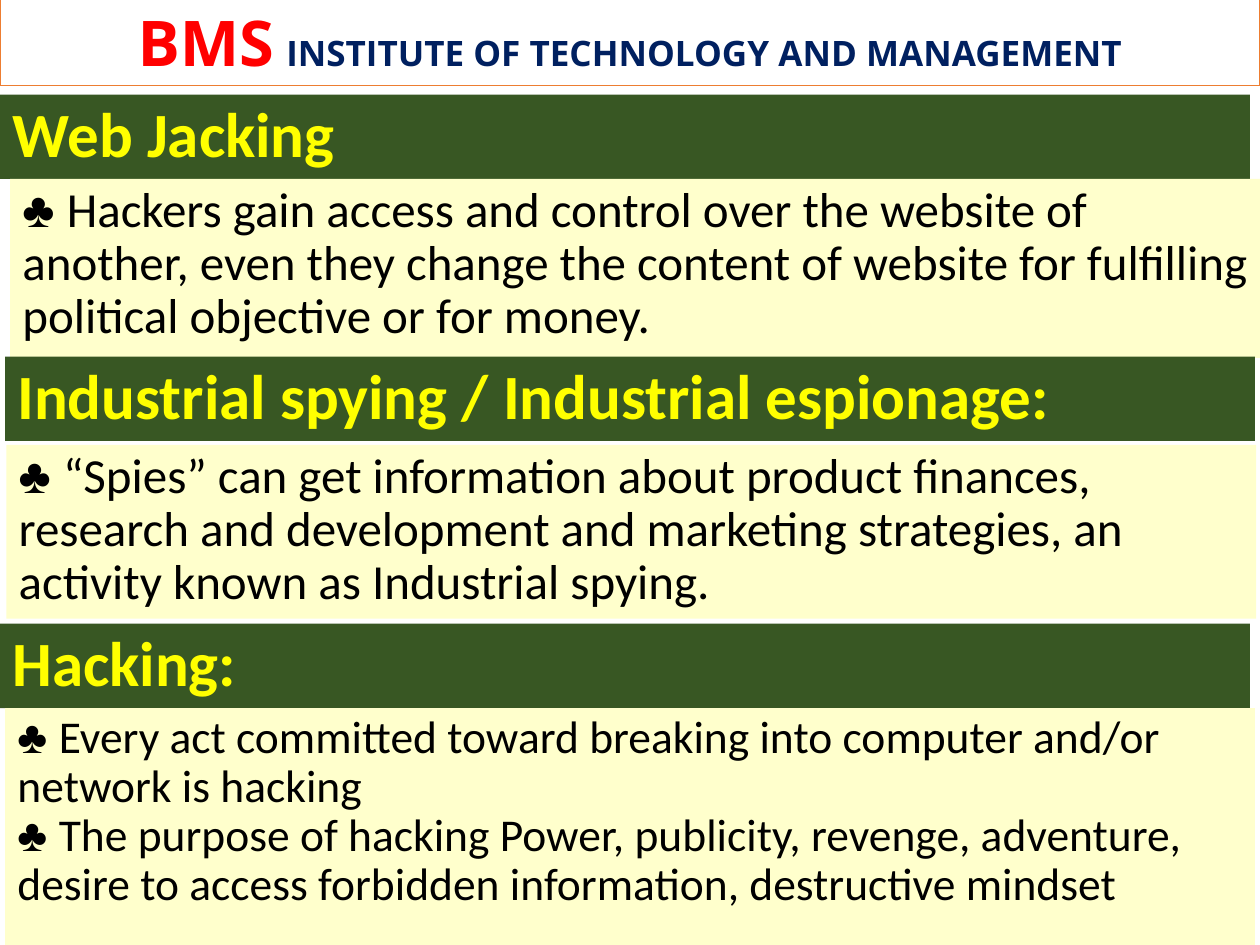
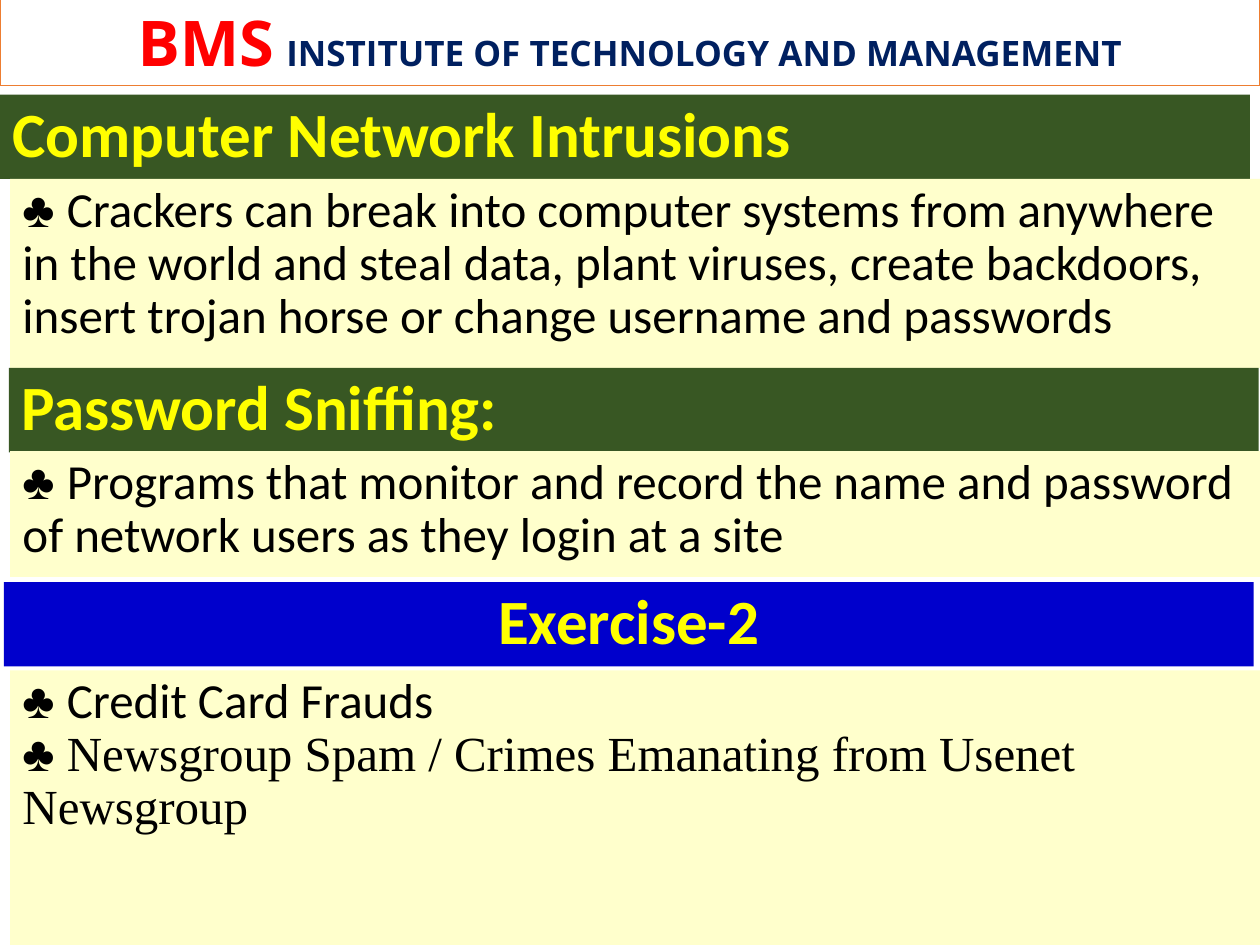
from lxml import etree
from pptx import Presentation
from pptx.dml.color import RGBColor
from pptx.enum.shapes import MSO_SHAPE
from pptx.enum.text import MSO_ANCHOR, MSO_AUTO_SIZE, PP_ALIGN
from pptx.oxml.ns import qn
from pptx.util import Pt

RECT = MSO_SHAPE.RECTANGLE
TOP, MIDDLE = MSO_ANCHOR.TOP, MSO_ANCHOR.MIDDLE
LEFT, CENTER = PP_ALIGN.LEFT, PP_ALIGN.CENTER
NO_FIT = MSO_AUTO_SIZE.NONE

EMU_PER_PX = 9144  # 100 px to the inch
SLIDE_W, SLIDE_H = 1000, 750
PANEL_W, BAND_H = 992, 67

WHITE, BLACK, YELLOW, RED = "FFFFFF", "000000", "FFFF00", "FF0000"
GREEN, BLUE, CREAM = "385723", "0000CC", "FFFFCC"
NAVY, ORANGE, OUTLINE = "002060", "ED7D31", "5093CF"
SANS, SERIF, HEADER_FONT = "Calibri", "Times New Roman", "Open Sans"
SUIT = "♣ "


def px(n):
    return round(n * EMU_PER_PX)


def rgb(color):
    return RGBColor.from_string(color)


def place(sp, box, fill, anchor):
    """Put a shape in its box, fill it and return its text frame."""
    sp.left, sp.top, sp.width, sp.height = map(px, box)
    sp.fill.solid()
    sp.fill.fore_color.rgb = rgb(fill)
    sp.line.fill.background()
    tf = sp.text_frame
    tf.word_wrap = True
    tf.auto_size = NO_FIT
    tf.vertical_anchor = anchor
    tf.margin_left = tf.margin_right = px(10)
    tf.margin_top = tf.margin_bottom = px(5)
    return tf


def add_rect(slide):
    sp = slide.shapes.add_shape(RECT, 0, 0, 0, 0)
    sp.shadow.inherit = False
    return sp


def add_run(p, text, size, font, color, bold=False):
    r = p.add_run()
    r.text = text
    r.font.size = Pt(size)
    r.font.name = font
    r.font.bold = bold
    r.font.color.rgb = rgb(color)
    return r


def outline_text(r, color, width):
    rPr = r.font._element
    ln = etree.Element(qn("a:ln"), w=str(Pt(width)))
    fill = etree.SubElement(ln, qn("a:solidFill"))
    etree.SubElement(fill, qn("a:srgbClr"), val=color)
    rPr.insert(0, ln)


def add_header(slide):
    sp = add_rect(slide)
    tf = place(sp, (0, -3, SLIDE_W, 71), WHITE, MIDDLE)
    sp.line.color.rgb = rgb(ORANGE)
    sp.line.width = Pt(1)
    p = tf.paragraphs[0]
    p.alignment = CENTER
    p.space_after = Pt(2)
    initials = add_run(p, "BMS", 36, HEADER_FONT, RED, True)
    outline_text(initials, OUTLINE, 0.83)
    add_run(p, " ", 27, HEADER_FONT, RED, True)
    add_run(p, "INSTITUTE OF TECHNOLOGY AND MANAGEMENT", 20, HEADER_FONT, NAVY, True)


def fill_band(sp, x, y, text, fill=GREEN, align=LEFT):
    p = place(sp, (x, y, PANEL_W, BAND_H), fill, MIDDLE).paragraphs[0]
    p.alignment = align
    p.line_spacing = 0.9
    add_run(p, text, 36, SANS, YELLOW, True)


def add_body(slide, box, points, size=28):
    """Add a cream panel; each point is a (text, font) pair."""
    tf = place(add_rect(slide), box, CREAM, TOP)
    for i, (text, font) in enumerate(points):
        p = tf.add_paragraph() if i else tf.paragraphs[0]
        p.alignment = LEFT
        p.line_spacing = 0.9
        add_run(p, SUIT, size, SERIF, BLACK)
        add_run(p, text, size, font, BLACK)


def add_topic_slide(prs, title, sections):
    """Add a slide whose first band is the title; sections are (band, body) pairs."""
    slide = prs.slides.add_slide(prs.slide_layouts[5])
    add_header(slide)
    fill_band(slide.shapes.title, 0, 75, title)
    for band, body in sections:
        if band:
            fill_band(add_rect(slide), *band)
        add_body(slide, *body)


JACKING = [("Hackers gain access and control over the website of another, even they "
            "change the content of website for fulfilling political objective or for "
            "money.", SANS)]
SPYING = [("“Spies” can get information about product finances, research and "
           "development and marketing strategies, an activity known as Industrial "
           "spying.", SANS)]
HACKING = [("Every act committed toward breaking into computer and/or network is "
            "hacking", SANS),
           ("The purpose of hacking Power, publicity, revenge, adventure, desire to "
            "access forbidden information, destructive mindset", SANS)]
INTRUSIONS = [("Crackers can break into computer systems from anywhere in the world "
               "and steal data, plant viruses, create backdoors, insert trojan horse "
               "or change username and passwords", SANS)]
SNIFFING = [("Programs that monitor and record the name and password of network users "
             "as they login at a site", SANS)]
EXERCISE = [("Credit Card Frauds", SANS),
            ("Newsgroup Spam / Crimes Emanating from Usenet Newsgroup", SERIF)]


def main():
    prs = Presentation()
    prs.slide_width, prs.slide_height = px(SLIDE_W), px(SLIDE_H)
    add_topic_slide(prs, "Web Jacking", [
        (None, ((8, 142, PANEL_W, 142), JACKING)),
        ((4, 283, "Industrial spying / Industrial espionage:"),
         ((5, 353, PANEL_W, 138), SPYING)),
        ((0, 495, "Hacking:"), ((4, 562, PANEL_W, 188), HACKING, 26)),
    ])
    add_topic_slide(prs, "Computer Network Intrusions", [
        (None, ((8, 142, PANEL_W, 150), INTRUSIONS)),
        ((7, 292, "Password Sniffing:"), ((8, 358, PANEL_W, 100), SNIFFING)),
        ((3, 462, "Exercise-2", BLUE, CENTER), ((8, 532, PANEL_W, 218), EXERCISE)),
    ])
    prs.save("out.pptx")


if __name__ == "__main__":
    main()
